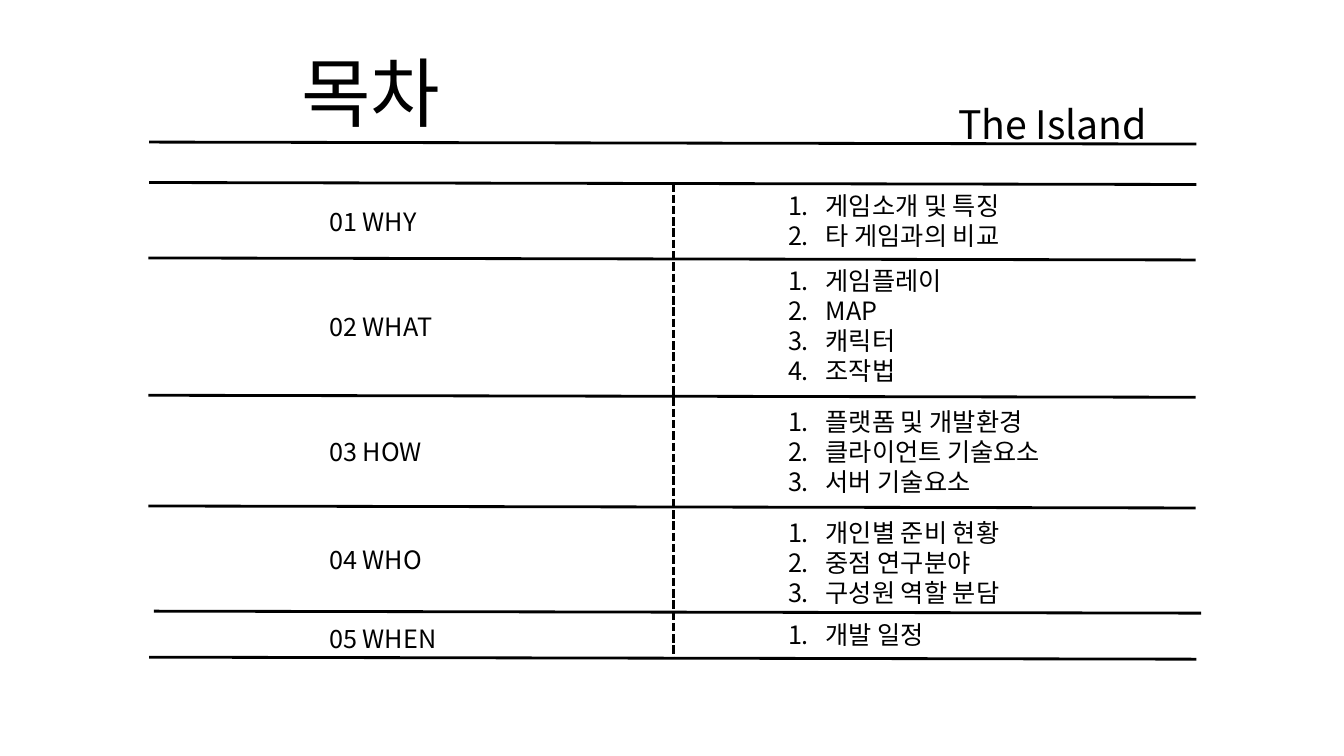
from dataclasses import dataclass

from lxml import etree
from pptx import Presentation
from pptx.dml.color import RGBColor
from pptx.enum.dml import MSO_LINE
from pptx.enum.shapes import MSO_CONNECTOR
from pptx.enum.text import MSO_ANCHOR, MSO_AUTO_SIZE, PP_ALIGN
from pptx.oxml.ns import qn
from pptx.util import Cm, Pt

STRAIGHT = MSO_CONNECTOR.STRAIGHT
DASHED = MSO_LINE.SQUARE_DOT
TOP = MSO_ANCHOR.TOP
LEFT = PP_ALIGN.LEFT
GROW = MSO_AUTO_SIZE.SHAPE_TO_FIT_TEXT

COLORS = {"ink": "000000", "paper": "FFFFFF"}
FONT = "Noto Sans CJK KR"
LABEL_LEFT, TOPICS_LEFT = 8.05, 19.61
LINE_HEIGHT, BOX_PADDING = 0.77, 0.25
RULE_WIDTH, RULE_DROP = 26.39, 0.05
NUMBER_INDENT = 0.95
DIVIDER_X = 16.97


@dataclass
class Box:
    """Position and size of a text box in centimetres."""
    left: float
    top: float
    width: float
    height: float


@dataclass
class Section:
    """One row of the contents, closed by a rule below it."""
    label: str
    label_top: float
    label_width: float
    topics: list[str]
    topics_top: float
    topics_width: float
    rule_left: float
    rule_top: float


SECTIONS = [
    Section("01 WHY", 5.08, 3.15, ["게임소개 및 특징", "타 게임과의 비교"],
            4.67, 6.4, 3.74, 6.5),
    Section("02 WHAT", 7.72, 3.63, ["게임플레이", "MAP", "캐릭터", "조작법"],
            6.55, 4.67, 3.74, 9.96),
    Section("03 HOW", 10.87, 3.2,
            ["플랫폼 및 개발환경", "클라이언트 기술요소", "서버 기술요소"],
            10.11, 7.47, 3.74, 12.75),
    Section("04 WHO", 13.59, 3.2,
            ["개인별 준비 현황", "중점 연구분야", "구성원 역할 분담"],
            12.9, 6.4, 3.88, 15.4),
    Section("05 WHEN", 15.57, 3.63, ["개발 일정"],
            15.47, 4.24, 3.76, 16.56),
]


def number_paragraph(paragraph) -> None:
    """Give a paragraph automatic numbering with a hanging indent."""
    properties = paragraph._p.get_or_add_pPr()
    properties.set("marL", str(Cm(NUMBER_INDENT)))
    properties.set("indent", str(-Cm(NUMBER_INDENT)))
    etree.SubElement(properties, qn("a:buFont"), typeface="+mj-lt")
    etree.SubElement(properties, qn("a:buAutoNum"), type="arabicPeriod")


def write_text(shape, lines: list[str], box: Box, *, size: float = 18,
               numbered: bool = False) -> None:
    """Place a shape and fill it with one formatted paragraph per line."""
    shape.left, shape.top = Cm(box.left), Cm(box.top)
    shape.width, shape.height = Cm(box.width), Cm(box.height)
    frame = shape.text_frame
    frame.text = "\n".join(lines)
    frame.word_wrap = False
    frame.auto_size = GROW
    frame.vertical_anchor = TOP
    for paragraph in frame.paragraphs:
        paragraph.alignment = LEFT
        if numbered:
            number_paragraph(paragraph)
        run = paragraph.runs[0]
        run.font.size = Pt(size)
        run.font.name = FONT
        run.font.color.rgb = RGBColor.from_string(COLORS["ink"])
        etree.SubElement(run._r.get_or_add_rPr(), qn("a:ea"), typeface=FONT)


def add_text(slide, lines: list[str], left: float, top: float, width: float,
             **text_format) -> None:
    """Add a text box whose height follows its number of lines."""
    box = Box(left, top, width, BOX_PADDING + LINE_HEIGHT * len(lines))
    shape = slide.shapes.add_textbox(0, 0, 0, 0)
    write_text(shape, lines, box, **text_format)


def add_line(slide, start: tuple[float, float], end: tuple[float, float],
             dash=None) -> None:
    """Draw a straight line without a shadow."""
    line = slide.shapes.add_connector(
        STRAIGHT, *(Cm(value) for value in start + end))
    line.line.color.rgb = RGBColor.from_string(COLORS["ink"])
    line.line.width = Pt(2)
    if dash is not None:
        line.line.dash_style = dash
    etree.SubElement(line._element.spPr, qn("a:effectLst"))


def add_rule(slide, left: float, top: float) -> None:
    """Draw a slightly falling rule across the contents."""
    add_line(slide, (left, top), (left + RULE_WIDTH, top + RULE_DROP))


def add_section(slide, section: Section) -> None:
    """Draw a row: label, numbered topics and closing rule."""
    add_text(slide, [section.label], LABEL_LEFT, section.label_top,
             section.label_width)
    add_text(slide, section.topics, TOPICS_LEFT, section.topics_top,
             section.topics_width, numbered=True)
    add_rule(slide, section.rule_left, section.rule_top)


def main() -> None:
    """Build the contents slide and save it."""
    presentation = Presentation()
    presentation.slide_width, presentation.slide_height = Cm(33.87), Cm(19.05)
    slide = presentation.slides.add_slide(presentation.slide_layouts[5])
    background = slide.background.fill
    background.solid()
    background.fore_color.rgb = RGBColor.from_string(COLORS["paper"])

    write_text(slide.shapes.title, ["목차"], Box(7.34, 1.02, 4.37, 2.57), size=54)
    for rule_top in (3.58, 4.6):
        add_rule(slide, 3.76, rule_top)
    for section in SECTIONS:
        add_section(slide, section)
    add_line(slide, (DIVIDER_X, 4.62), (DIVIDER_X, 16.56), DASHED)

    subtitle = slide.shapes.add_textbox(0, 0, 0, 0)
    write_text(subtitle, ["The Island"], Box(23.9, 2.41, 5.33, 1.45), size=28)
    presentation.save("out.pptx")


main()
